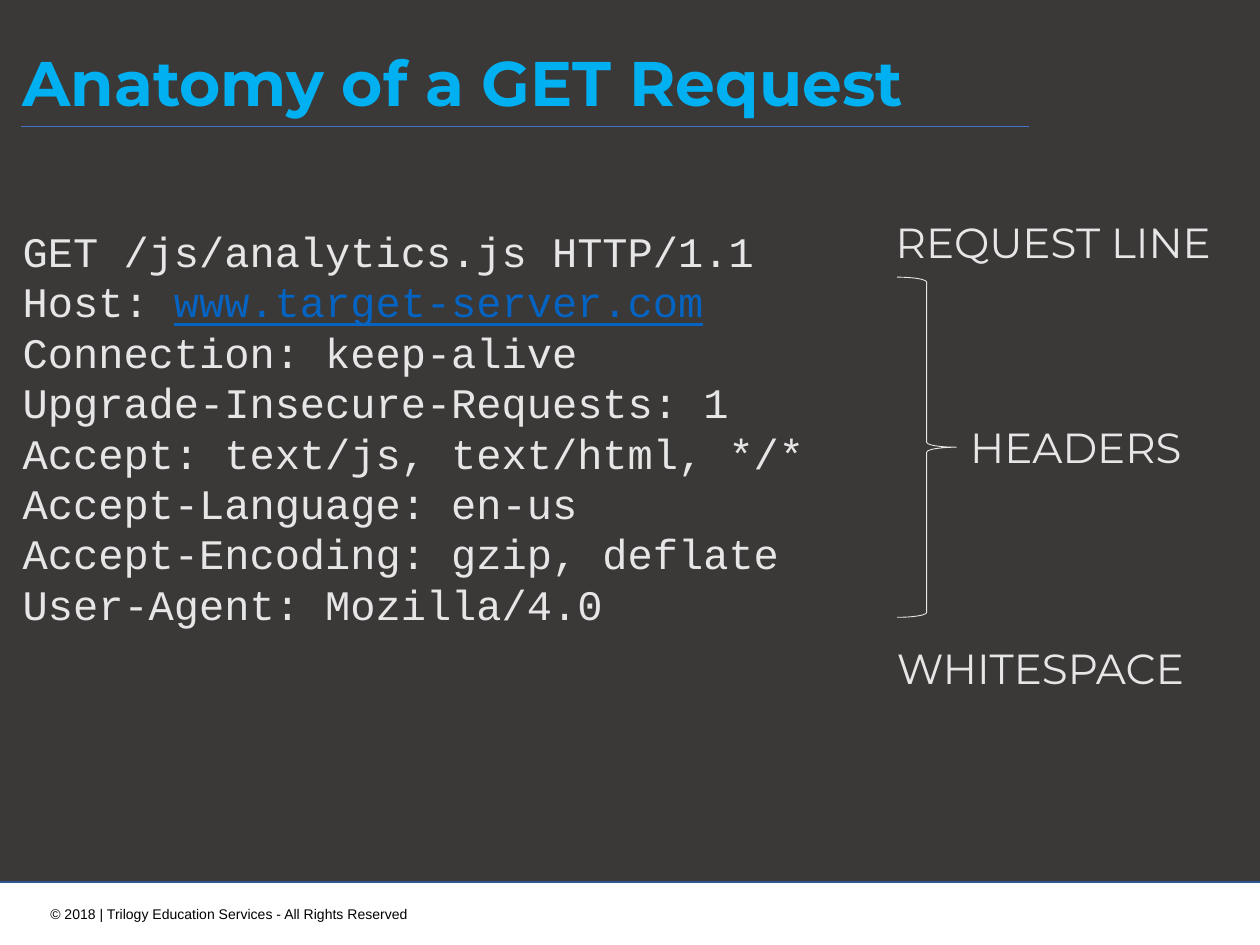
from dataclasses import dataclass

from lxml import etree
from pptx import Presentation
from pptx.dml.color import RGBColor
from pptx.enum import shapes, text
from pptx.oxml import ns
from pptx.util import Inches, Pt


@dataclass(frozen=True)
class Theme:
    panel: str = "3B3838"
    panel_edge: str = "325491"
    accent: str = "00B0F0"
    rule: str = "4472C4"
    light: str = "E7E6E6"
    link: str = "0563C1"
    dark: str = "000000"
    heading_font: str = "Montserrat"
    code_font: str = "Courier New"
    footer_font: str = "Arial"
    title_size: int = 36
    body_size: int = 24
    footer_size: int = 8


THEME = Theme()

# Each request line is a list of (words, is address)
REQUEST = [
    [("GET /js/analytics.js HTTP/1.1", False)],
    [("Host: ", False), ("www.target-server.com", True)],
    [("Connection: keep-alive", False)],
    [("Upgrade-Insecure-Requests: 1", False)],
    [("Accept: text/js, text/html, */*", False)],
    [("Accept-Language: en-us", False)],
    [("Accept-Encoding: gzip, deflate", False)],
    [("User-Agent: Mozilla/4.0", False)],
]


def place(shape, left, top, width, height):
    shape.left, shape.top = Inches(left), Inches(top)
    shape.width, shape.height = Inches(width), Inches(height)


def add_text(para, words, font=THEME.heading_font, size=THEME.body_size,
             color=THEME.light, bold=False, underline=False):
    span = para.add_run()
    span.text = words
    span.font.name = font
    span.font.size = Pt(size)
    span.font.bold = bold
    span.font.underline = underline
    span.font.color.rgb = RGBColor.from_string(color)


def prepare_frame(box, anchor=text.MSO_ANCHOR.TOP):
    frame = box.text_frame
    frame.word_wrap = True
    frame.auto_size = text.MSO_AUTO_SIZE.NONE
    frame.vertical_anchor = anchor
    return frame


def add_label(page, words, bounds, align=text.PP_ALIGN.LEFT, inset=0.1, **style):
    box = page.shapes.add_textbox(*map(Inches, bounds))
    frame = prepare_frame(box)
    frame.margin_left = Inches(inset)
    para = frame.paragraphs[0]
    para.alignment = align
    add_text(para, words, **style)


def add_outline(page, kind, bounds, line, width, fill=None):
    shape = page.shapes.add_shape(kind, *map(Inches, bounds))
    shape.shadow.inherit = False
    if fill:
        shape.fill.solid()
        shape.fill.fore_color.rgb = RGBColor.from_string(fill)
    else:
        shape.fill.background()
    shape.line.color.rgb = RGBColor.from_string(line)
    shape.line.width = Pt(width)
    return shape


def add_rule(page, left, right, top):
    rule = page.shapes.add_connector(
        shapes.MSO_CONNECTOR.STRAIGHT,
        Inches(left), Inches(top), Inches(right), Inches(top))
    rule.line.color.rgb = RGBColor.from_string(THEME.rule)
    rule.line.width = Pt(0.5)
    etree.SubElement(rule.element.spPr, ns.qn("a:effectLst"))


def fill_title(title, words):
    place(title, 0.08, 0.29, 7.62, 0.71)
    para = prepare_frame(title, text.MSO_ANCHOR.MIDDLE).paragraphs[0]
    para.alignment = text.PP_ALIGN.LEFT
    add_text(para, words, size=THEME.title_size, color=THEME.accent, bold=True)


def fill_request(body, lines):
    place(body, -0.42, 1.69, 7.5, 4.14)
    frame = prepare_frame(body)
    frame.margin_top = Inches(0.1)
    for index, line in enumerate(lines):
        para = frame.add_paragraph() if index else frame.paragraphs[0]
        props = para._p.get_or_add_pPr()
        props.set("marL", str(Inches(0.5)))
        props.set("indent", "0")
        etree.SubElement(props, ns.qn("a:buNone"))
        para.alignment = text.PP_ALIGN.LEFT
        para.space_before = para.space_after = Pt(0)
        para.line_spacing = Pt(28.8)
        for words, is_address in line:
            add_text(para, words, font=THEME.code_font, underline=is_address,
                     color=THEME.link if is_address else THEME.light)


def main():
    deck = Presentation()
    deck.slide_width, deck.slide_height = Inches(10), Inches(7.5)
    page = deck.slides.add_slide(deck.slide_layouts[1])
    title, body = page.placeholders

    # Dark panel behind the placeholders
    panel = add_outline(page, shapes.MSO_SHAPE.RECTANGLE,
                        (-0.08, -0.08, 10.17, 7.08),
                        THEME.panel_edge, 1, fill=THEME.panel)
    title.element.addprevious(panel.element)

    # Title and request text
    fill_title(title, "Anatomy of a GET Request")
    add_rule(page, 0.17, 8.17, 1)
    fill_request(body, REQUEST)

    # Names of the request parts
    add_label(page, "REQUEST LINE", (7.01, 1.67, 2.99, 0.5))
    add_outline(page, shapes.MSO_SHAPE.RIGHT_BRACE, (7.12, 2.2, 0.47, 2.7),
                THEME.light, 0.5)
    add_label(page, "HEADERS", (7.42, 3.3, 2.27, 0.5), inset=0.28)
    add_label(page, "WHITESPACE", (7.02, 5.05, 2.7, 0.5))

    # Footer
    add_label(page, "© 2018 | Trilogy Education Services - All Rights Reserved",
              (0.17, 7.14, 3.17, 0.24), align=text.PP_ALIGN.RIGHT,
              font=THEME.footer_font, size=THEME.footer_size, color=THEME.dark)

    deck.save("out.pptx")


if __name__ == "__main__":
    main()
